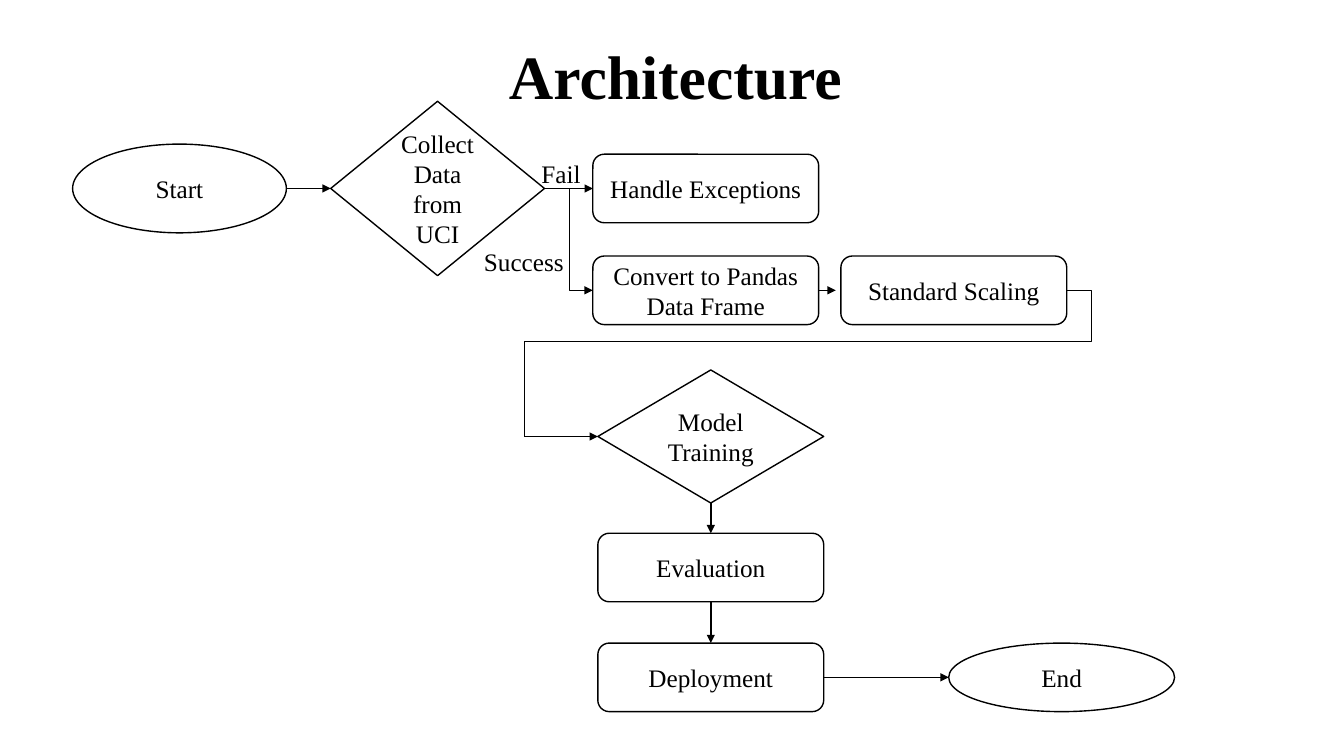
"""Build the architecture flowchart slide."""
from lxml import etree
from pptx import Presentation
from pptx.dml.color import RGBColor
from pptx.enum import shapes, text
from pptx.oxml.ns import qn
from pptx.util import Inches, Pt

COLORS = {"ink": "000000", "paper": "FFFFFF"}
FONT = "Times New Roman"
OVAL = shapes.MSO_SHAPE.OVAL
DECISION = shapes.MSO_SHAPE.FLOWCHART_DECISION
PROCESS = shapes.MSO_SHAPE.ROUNDED_RECTANGLE
STRAIGHT = shapes.MSO_CONNECTOR.STRAIGHT
ELBOW = shapes.MSO_CONNECTOR.ELBOW
TOP, LEFT, BOTTOM, RIGHT = range(4)

STEP_W, STEP_H = 2.24, 0.68
UPPER_X, LOWER_X = 5.88, 5.93
ROW_1, ROW_2, ROW_3, ROW_4 = 1.87, 2.88, 4.33, 6.72
TURN_X, TURN_Y = 5.2, 3.39
SCALING_X, END_X = 8.34, 9.41

STEPS = [
    ("Start", OVAL, 0.72, ROW_1, 2.12, 0.88),
    ("Collect Data from UCI", DECISION, 3.28, ROW_1, 2.12, 1.73),
    ("Handle Exceptions", PROCESS, UPPER_X, ROW_1, STEP_W, STEP_H),
    ("Convert to Pandas Data Frame", PROCESS, UPPER_X, ROW_2, STEP_W, STEP_H),
    ("Standard Scaling", PROCESS, SCALING_X, ROW_2, STEP_W, STEP_H),
    ("Model Training", DECISION, LOWER_X, ROW_3, STEP_W, 1.32),
    ("Evaluation", PROCESS, LOWER_X, 5.63, STEP_W, STEP_H),
    ("Deployment", PROCESS, LOWER_X, ROW_4, STEP_W, STEP_H),
    ("End", OVAL, END_X, ROW_4, STEP_W, STEP_H),
]
BRANCHES = [("Fail", 5.2, 1.58, 0.73, 0.29), ("Success", 4.69, 2.45, 1.01, 0.29)]
LINKS = [
    ((2.84, ROW_1), ("Collect Data from UCI", LEFT), STRAIGHT, True, None),
    (("Collect Data from UCI", RIGHT), ("Handle Exceptions", LEFT), STRAIGHT, True, None),
    ((5.42, ROW_1), (UPPER_X, ROW_2), ELBOW, True, None),
    (("Convert to Pandas Data Frame", RIGHT), (8.29, ROW_2), STRAIGHT, True, None),
    (("Model Training", BOTTOM), ("Evaluation", TOP), STRAIGHT, True, None),
    (("Evaluation", BOTTOM), ("Deployment", TOP), STRAIGHT, True, None),
    (("Deployment", RIGHT), (END_X, ROW_4), STRAIGHT, True, None),
    ((SCALING_X + STEP_W, ROW_2), (TURN_X, TURN_Y), ELBOW, False, -4600),
    ((TURN_X, TURN_Y), (TURN_X, ROW_3), STRAIGHT, False, None),
    ((TURN_X, ROW_3), ("Model Training", LEFT), STRAIGHT, True, None),
]


def write(box, words, size=18, bold=False, anchor=text.MSO_ANCHOR.MIDDLE, spacing=None):
    frame = box.text_frame
    frame.word_wrap = True
    frame.vertical_anchor = anchor
    paragraph = frame.paragraphs[0]
    paragraph.alignment = text.PP_ALIGN.CENTER
    paragraph.line_spacing = spacing
    run = paragraph.add_run()
    run.text = words
    run.font.name, run.font.size, run.font.bold = FONT, Pt(size), bold
    run.font.color.rgb = RGBColor.from_string(COLORS["ink"])


def outline(line):
    line.color.rgb = RGBColor.from_string(COLORS["ink"])
    line.width = Pt(1)


def add_step(slide, words, kind, left, middle, width, height):
    step = slide.shapes.add_shape(
        kind, Inches(left), Inches(middle - height / 2), Inches(width), Inches(height))
    step.shadow.inherit = False
    step.fill.solid()
    step.fill.fore_color.rgb = RGBColor.from_string(COLORS["paper"])
    outline(step.line)
    write(step, words)
    return step


def add_label(slide, words, left, top, width, height, **style):
    label = slide.shapes.add_textbox(*map(Inches, (left, top, width, height)))
    write(label, words, **style)
    return label


def add_link(slide, steps, start, end, kind, arrow, bend):
    points = [(0, 0) if place[0] in steps else place for place in (start, end)]
    link = slide.shapes.add_connector(
        kind, *(Inches(value) for point in points for value in point))
    if start[0] in steps:
        link.begin_connect(steps[start[0]], start[1])
    if end[0] in steps:
        link.end_connect(steps[end[0]], end[1])
    outline(link.line)
    properties = link._element.spPr
    if arrow:
        etree.SubElement(properties.find(qn("a:ln")), qn("a:tailEnd"), type="triangle")
    etree.SubElement(properties, qn("a:effectLst"))
    if bend is not None:
        guides = properties.find(qn("a:prstGeom")).find(qn("a:avLst"))
        etree.SubElement(guides, qn("a:gd"), name="adj1", fmla=f"val {bend}")


def main():
    deck = Presentation()
    deck.slide_width, deck.slide_height = Inches(13.33), Inches(7.5)
    slide = deck.slides.add_slide(deck.slide_layouts[6])
    add_label(slide, "Architecture", 1.7, 0.21, 10, 0.96, size=44, bold=True,
              anchor=text.MSO_ANCHOR.BOTTOM, spacing=0.9)
    steps = {step[0]: add_step(slide, *step) for step in STEPS}
    for link in LINKS:
        add_link(slide, steps, *link)
    for branch in BRANCHES:
        add_label(slide, *branch)
    deck.save("out.pptx")


if __name__ == "__main__":
    main()
